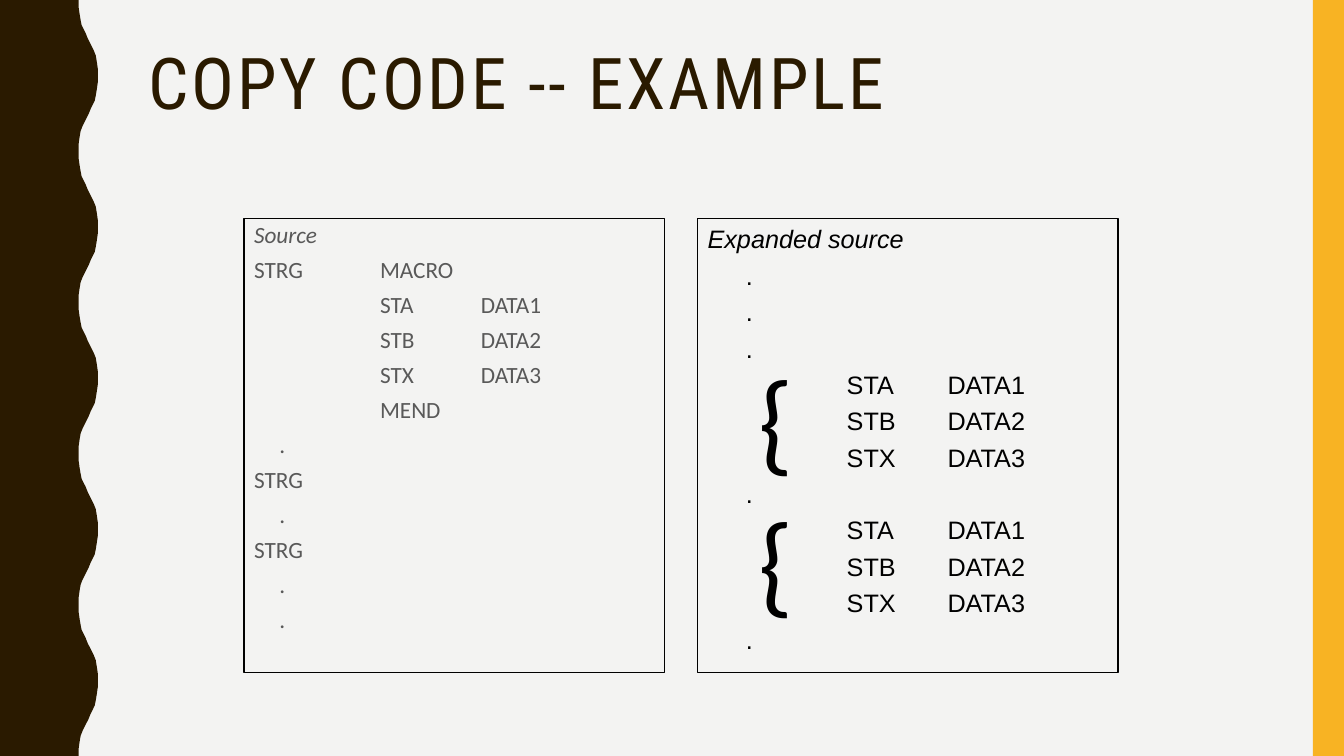
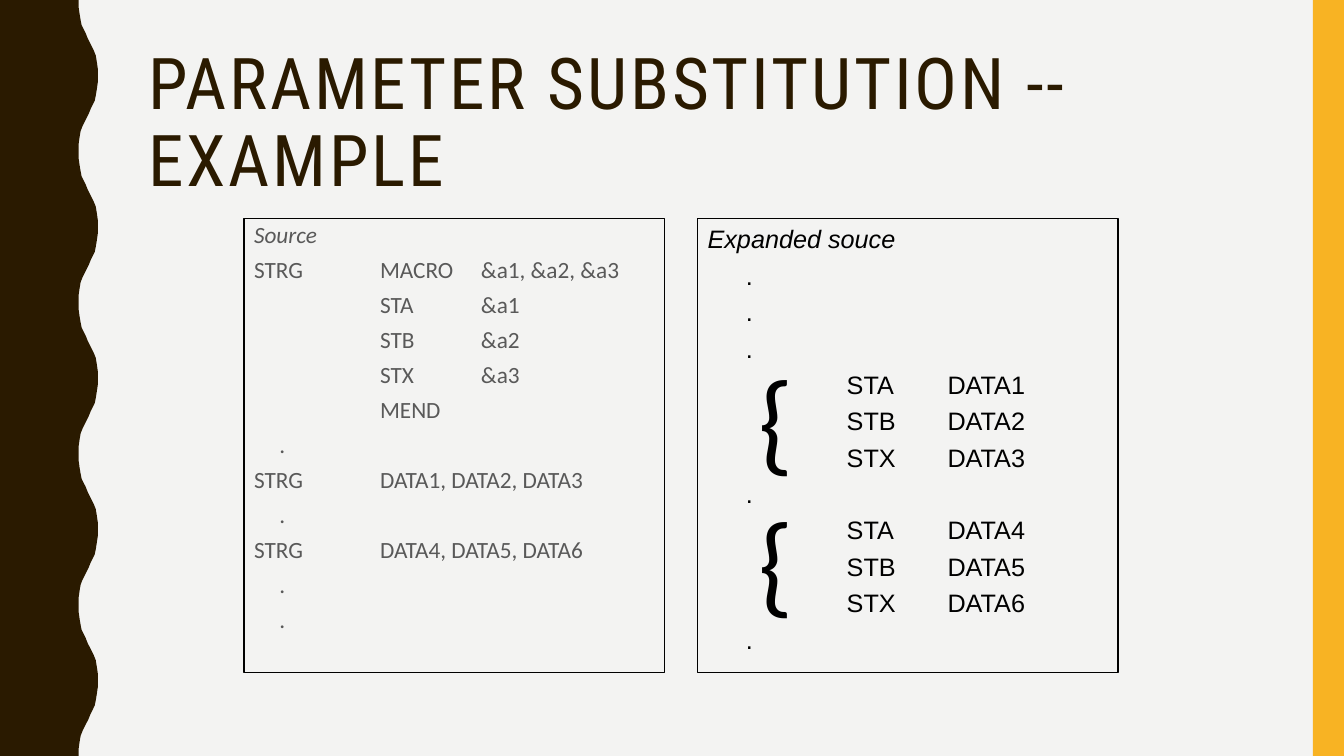
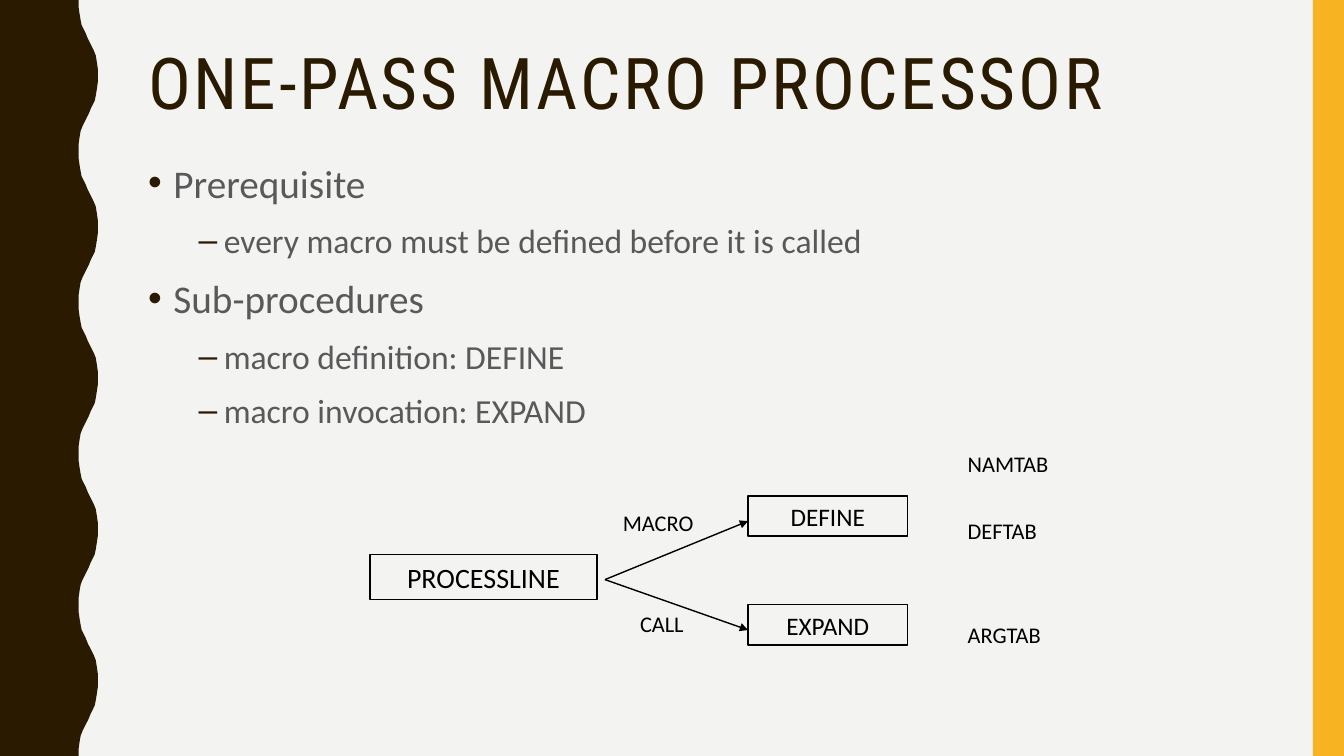
from lxml.etree import SubElement
from pptx import Presentation
from pptx.dml.color import RGBColor
from pptx.enum.shapes import MSO_CONNECTOR, MSO_SHAPE
from pptx.enum.text import MSO_ANCHOR as Anchor, MSO_AUTO_SIZE as Fit, PP_ALIGN as Align
from pptx.oxml.ns import qn
from pptx.util import Inches, Pt

BROWN = RGBColor(0x2A, 0x1A, 0x00)
GOLD = RGBColor(0xF8, 0xB3, 0x23)
PAPER = RGBColor(0xF3, 0xF3, 0xF2)
GRAY = RGBColor(0x59, 0x59, 0x59)
BLACK = RGBColor(0, 0, 0)
WIDE, HIGH = 13.33, 7.5
BEND = [(0.78, 0), (0.78, 0.07), (0.79, 0.14), (0.8, 0.2), (0.81, 0.25), (0.85, 0.33),
        (0.87, 0.38), (0.91, 0.46), (0.93, 0.5), (0.95, 0.55), (0.96, 0.61), (0.97, 0.68)]
HALF = 0.75
MIRROR = 1.75


def put(shape, x, y, w, h):
    shape.left, shape.top = Inches(x), Inches(y)
    shape.width, shape.height = Inches(w), Inches(h)


def add_run(para, text, size, color=BLACK, font="Calibri", slant=False):
    run = para.add_run()
    run.text = text
    run.font.name = font
    run.font.size = Pt(size)
    run.font.color.rgb = color
    run.font.italic = slant


def indent(para, left, hang):
    props = para._p.get_or_add_pPr()
    props.set("marL", str(Inches(left)))
    props.set("indent", str(-Inches(hang)))
    props.set("defTabSz", str(Inches(1)))
    return props


def each_para(frame, items):
    for i, item in enumerate(items):
        yield (frame.add_paragraph() if i else frame.paragraphs[0]), item


def paint(shape, color):
    shape.shadow.inherit = False
    shape.fill.solid()
    shape.fill.fore_color.rgb = color
    shape.line.fill.background()


def add_frame(slide, x, y, w, h):
    box = slide.shapes.add_shape(MSO_SHAPE.RECTANGLE, 0, 0, 0, 0)
    put(box, x, y, w, h)
    box.shadow.inherit = False
    box.fill.background()
    rule(box.line)
    return box


def rule(line):
    line.color.rgb = BLACK
    line.width = Pt(1)


def add_label(slide, text, x, y, w, h, size):
    box = slide.shapes.add_textbox(Inches(x), Inches(y), Inches(w), Inches(h))
    add_run(box.text_frame.paragraphs[0], text, size)


def style_title(master):
    title = master.placeholders[0]
    put(title, 1.37, 0.42, 11.13, 1.63)
    title.text_frame.vertical_anchor = Anchor.TOP
    title.text_frame.auto_size = Fit.NONE
    style = master.element.find(".//" + qn("p:titleStyle")).find(qn("a:lvl1pPr"))
    style.set("algn", "l")
    space = SubElement(style, qn("a:lnSpc"))
    SubElement(space, qn("a:spcPct")).set("val", "90000")
    style.insert(0, space)
    font = style.find(qn("a:defRPr"))
    font.set("sz", "5100")
    font.set("spc", "200")
    font.find(qn("a:latin")).set("typeface", "Roboto Condensed")
    fill = font.find(qn("a:solidFill"))
    fill.clear()
    SubElement(fill, qn("a:srgbClr")).set("val", str(BROWN))


def add_bands(slide, master):
    points = [(0, 0)]
    for k in range(10):
        points += [(MIRROR - x if k % 2 else x, y + HALF * k) for x, y in BEND]
    points += [(BEND[0][0], HIGH), (0, HIGH)]
    pen = slide.shapes.build_freeform(0, 0)
    pen.add_line_segments([(Inches(x), Inches(y)) for x, y in points[1:]])
    wave = pen.convert_to_shape()
    paint(wave, BROWN)
    bar = slide.shapes.add_shape(MSO_SHAPE.RECTANGLE, 0, 0, 0, 0)
    put(bar, 13.02, 0, WIDE - 13.02, HIGH)
    paint(bar, GOLD)
    for i, band in enumerate((wave, bar)):
        master.shapes.element.insert(2 + i, band.element)


def start(deck, title):
    slide = deck.slides.add_slide(deck.slide_layouts[1])
    slide.shapes.title.text_frame.paragraphs[0].add_run().text = title
    body = slide.placeholders[1]
    body.text_frame.auto_size = Fit.NONE
    body.text_frame.vertical_anchor = Anchor.TOP
    return slide, body


def add_source(body, x, y, w, h, lines):
    put(body, x, y, w, h)
    rule(body.line)
    for para, text in each_para(body.text_frame, lines):
        props = indent(para, 0.25, 0.25)
        para.line_spacing = 0.9
        para.space_before = Pt(7)
        SubElement(props, qn("a:buNone"))
        add_run(para, text, 16.6, GRAY, slant=text == "Source")


def add_output(slide, x, y, w, h, head, calls):
    lines = [head] + ["\t."] * 3
    for data in calls:
        lines += [f"\t\t{code}\t{item}" for code, item in zip(("STA", "STB", "STX"), data)]
        lines.append("\t.")
    box = add_frame(slide, x, y, w, h)
    box.text_frame.vertical_anchor = Anchor.TOP
    for para, text in each_para(box.text_frame, lines):
        indent(para, 0.38, 0.38)
        para.alignment = Align.LEFT
        para.space_before = Pt(4.4)
        add_run(para, text, 18, font="Arial", slant=text == head)
    for i in range(len(calls)):
        add_label(slide, "{", x + 0.5, y + 1.25 + 1.41 * i, 0.6, 1.43, 80)


def code_slide(deck, title, lines, head, calls):
    slide, body = start(deck, title)
    add_source(body, 2.42, 2.17, 4.17, 4.5, lines)
    add_output(slide, 6.92, 2.17, 4.17, 4.5, head, calls)
    return slide


def add_list(body, x, y, w, h, items):
    put(body, x, y, w, h)
    for para, (level, text) in each_para(body.text_frame, items):
        para.level = level
        para.alignment = Align.JUSTIFY
        para.line_spacing = 1.1
        para.space_before = Pt(7)
        props = indent(para, 0.25 + 0.5 * level, 0.25)
        tint = SubElement(props, qn("a:buClr"))
        SubElement(tint, qn("a:srgbClr")).set("val", str(BROWN))
        SubElement(props, qn("a:buChar")).set("char", "•–"[level])
        add_run(para, text, 28 - 4 * level, GRAY)


def add_arrow(slide, x, y, to_x, to_y):
    arrow = slide.shapes.add_connector(
        MSO_CONNECTOR.STRAIGHT, Inches(x), Inches(y), Inches(to_x), Inches(to_y))
    rule(arrow.line)
    SubElement(arrow.line._get_or_add_ln(), qn("a:tailEnd")).set("type", "triangle")
    SubElement(arrow.element.spPr, qn("a:effectLst"))


def add_flow(slide, x, y):
    boxes = [("PROCESSLINE", 0, 1.08, 2.25, 0.45, 20),
             ("DEFINE", 3.75, 0.5, 1.58, 0.4, 18),
             ("EXPAND", 3.75, 1.58, 1.58, 0.4, 18)]
    for text, dx, dy, w, h, size in boxes:
        box = add_frame(slide, x + dx, y + dy, w, h)
        para = box.text_frame.paragraphs[0]
        para.alignment = Align.CENTER
        add_run(para, text, size)
    for dy in (0.75, 1.83):
        add_arrow(slide, x + 2.33, y + 1.33, x + 3.75, y + dy)
    labels = [("NAMTAB", 5.83, 0), ("DEFTAB", 5.83, 0.66), ("ARGTAB", 5.83, 1.69),
              ("MACRO", 2.41, 0.58), ("CALL", 2.58, 1.58)]
    for text, dx, dy in labels:
        add_label(slide, text, x + dx, y + dy, 1, 0.37, 16)


def main():
    deck = Presentation()
    deck.slide_width, deck.slide_height = Inches(WIDE), Inches(HIGH)
    master = deck.slide_master
    master.background.fill.solid()
    master.background.fill.fore_color.rgb = PAPER
    style_title(master)

    first = code_slide(
        deck, "COPY CODE -- EXAMPLE",
        ["Source", "STRG \tMACRO\t", "\t\tSTA\tDATA1", "\t\tSTB\tDATA2", "\t\tSTX\tDATA3",
         "\t\tMEND", "\t.", "STRG", "\t.", "STRG", "\t.", "\t."],
        "Expanded source", [("DATA1", "DATA2", "DATA3")] * 2)
    add_bands(first, master)

    code_slide(
        deck, "PARAMETER SUBSTITUTION -- EXAMPLE",
        ["Source", "STRG \tMACRO\t&a1, &a2, &a3", "\t\tSTA\t&a1", "\t\tSTB\t&a2",
         "\t\tSTX\t&a3", "\t\tMEND", "\t.", "STRG\tDATA1, DATA2, DATA3", "\t.",
         "STRG\tDATA4, DATA5, DATA6", "\t.", "\t."],
        "Expanded souce", [("DATA1", "DATA2", "DATA3"), ("DATA4", "DATA5", "DATA6")])

    slide, body = start(deck, "ONE-PASS MACRO PROCESSOR")
    add_list(body, 1.37, 1.48, 11.13, 4.95, [
        (0, "Prerequisite"),
        (1, "every macro must be defined before it is called"),
        (0, "Sub-procedures"),
        (1, "macro definition: DEFINE"),
        (1, "macro invocation: EXPAND")])
    add_flow(slide, 3.67, 4.42)
    deck.save("out.pptx")


if __name__ == "__main__":
    main()
